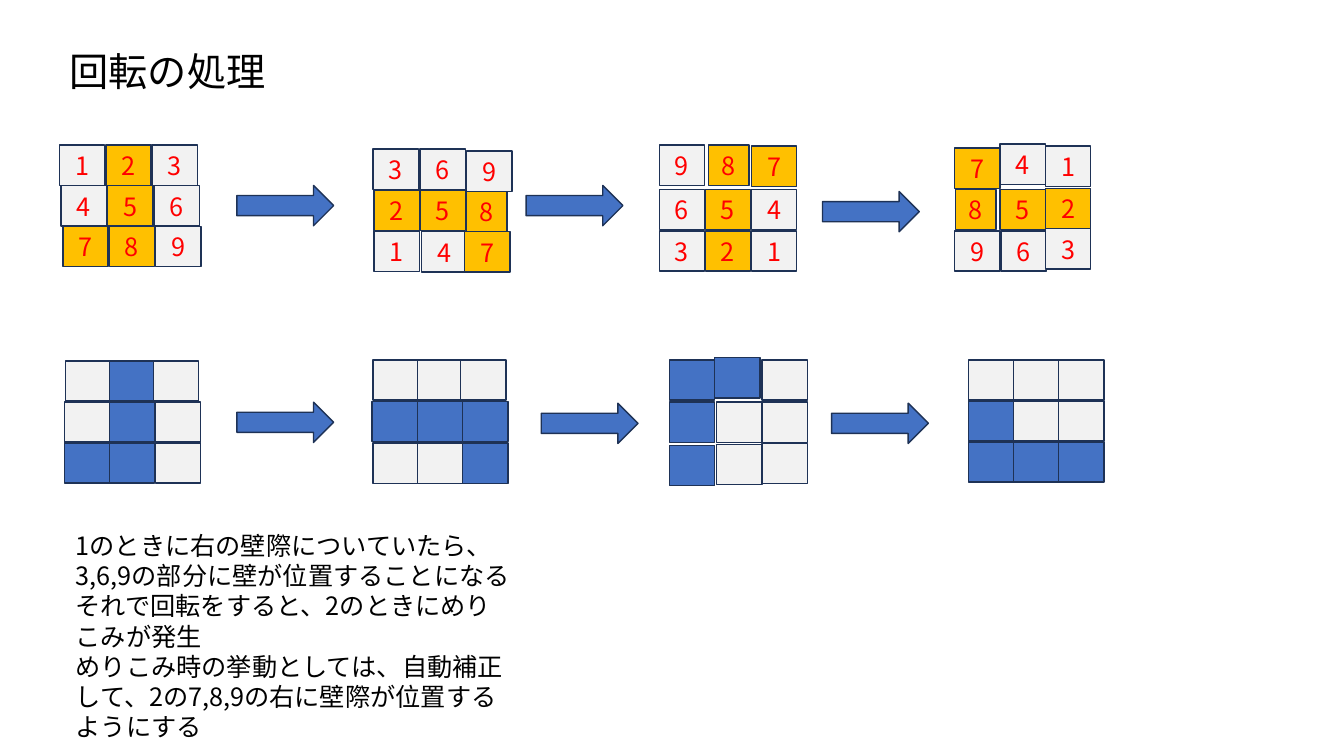
from lxml import etree
from pptx import Presentation
from pptx.dml.color import RGBColor
from pptx.enum.shapes import MSO_SHAPE
from pptx.enum.text import MSO_ANCHOR, MSO_AUTO_SIZE, PP_ALIGN
from pptx.oxml.ns import qn
from pptx.util import Inches, Pt

RECTANGLE = MSO_SHAPE.RECTANGLE
RIGHT_ARROW = MSO_SHAPE.RIGHT_ARROW
MIDDLE, TOP = MSO_ANCHOR.MIDDLE, MSO_ANCHOR.TOP
LEFT, CENTER = PP_ALIGN.LEFT, PP_ALIGN.CENTER
FIXED = MSO_AUTO_SIZE.NONE

FONT = "Noto Sans CJK JP"
COLOURS = {
    "text": "000000",
    "number": "FF0000",
    "marked": "FFC000",
    "block": "4472C4",
    "empty": "F2F2F2",
    "outline": "1E3256",
}
COLUMNS, ROWS = 40, 22.5
CELL_WIDTH, CELL_HEIGHT, NARROW_WIDTH = 1.35, 1.2, 1.2

START = [(1, 2, 3), (4, 5, 6), (7, 8, 9)]
PIECE, SHIFTED_PIECE = {2, 5, 7, 8}, {3, 6, 8, 9}

NUMBERED_TURNS = [
    {"origin": (1.77, 4.32), "pitch": (1.38, 1.21), "slant": 0.05},
    {"origin": (11.13, 4.44), "pitch": (1.37, 1.22), "narrow": 8,
     "nudges": {3: (-0.03, 0), 9: (0.02, 0.06), 8: (0.02, 0.04),
                4: (0.04, 0.02), 7: (-0.04, 0.02)}},
    {"origin": (19.62, 4.41), "pitch": (1.37, 1.23), "narrow": 8,
     "nudges": {9: (0, -0.09), 8: (0.1, -0.09), 7: (0, -0.06)}},
    {"origin": (28.41, 4.41), "pitch": (1.35, 1.23), "narrow": 8,
     "nudges": {4: (0, -0.12), 1: (0, -0.06), 2: (0, -0.03),
                3: (0, -0.06), 8: (0.03, 0), 6: (0.03, 0)}},
]
BLOCK_TURNS = [
    {"origin": (1.92, 10.74), "pitch": (1.33, 1.22), "piece": PIECE,
     "nudges": {1: (0.03, 0), 3: (-0.02, 0), 6: (0.04, 0), 9: (0.04, 0)}},
    {"origin": (11.07, 10.71), "pitch": (1.35, 1.24), "piece": PIECE,
     "nudges": {3: (0.03, 0), 9: (-0.06, 0), 1: (0.03, 0)}},
    {"origin": (19.92, 10.71), "pitch": (1.38, 1.26), "piece": SHIFTED_PIECE,
     "nudges": {8: (-0.03, -0.06), 5: (0.03, 0), 2: (0.03, 0),
                1: (0, -0.03), 3: (0, 0.03)}},
    {"origin": (28.83, 10.71), "pitch": (1.34, 1.22), "piece": SHIFTED_PIECE},
]
ARROWS = [(7.05, 5.52), (15.66, 5.52), (24.48, 5.7),
          (7.05, 11.97), (16.11, 12), (24.75, 12)]
EXPLANATION = [
    "1のときに右の壁際についていたら、3,6,9の部分に壁が位置することになる",
    "それで回転をすると、2のときにめりこみが発生",
    "めりこみ時の挙動としては、自動補正して、2の7,8,9の右に壁際が位置するようにする",
]


def colour(name):
    return RGBColor.from_string(COLOURS[name])


def rotate(grid):
    return list(zip(*grid))[::-1]


class RotationSlide:
    def __init__(self, deck):
        self.column = deck.slide_width / COLUMNS
        self.row = deck.slide_height / ROWS
        self.slide = deck.slides.add_slide(deck.slide_layouts[1])

    def place(self, left, top, width, height):
        return (round(left * self.column), round(top * self.row),
                round(width * self.column), round(height * self.row))

    def style(self, paragraph, size, ink, align):
        paragraph.alignment = align
        paragraph.font.size = Pt(size)
        paragraph.font.name = FONT
        paragraph.font.color.rgb = colour(ink)
        latin = paragraph.font._element.find(qn("a:latin"))
        east_asian = etree.Element(qn("a:ea"), typeface=FONT)
        latin.addnext(east_asian)

    def fill_placeholder(self, holder, lines, box, size, anchor):
        holder.left, holder.top, holder.width, holder.height = self.place(*box)
        frame = holder.text_frame
        frame.text = "\n".join(lines)
        frame.word_wrap = True
        frame.auto_size = FIXED
        frame.vertical_anchor = anchor
        for paragraph in frame.paragraphs:
            self.style(paragraph, size, "text", LEFT)
            paragraph.space_before = Pt(0)
            paragraph.line_spacing = Pt(size * 1.2)
            properties = paragraph._p.get_or_add_pPr()
            properties.set("marL", "0")
            properties.set("indent", "0")
            properties.find(qn("a:defRPr")).addprevious(
                etree.Element(qn("a:buNone")))

    def title(self, words):
        self.fill_placeholder(self.slide.shapes.title, [words],
                              (1.77, 1.26, 34.92, 1.71), 28, MIDDLE)

    def body(self, lines):
        self.fill_placeholder(self.slide.placeholders[1], lines,
                              (1.95, 15.63, 13.71, 6.66), 18, TOP)

    def shape(self, kind, box, fill):
        drawn = self.slide.shapes.add_shape(kind, *self.place(*box))
        drawn.shadow.inherit = False
        drawn.fill.solid()
        drawn.fill.fore_color.rgb = colour(fill)
        drawn.line.color.rgb = colour("outline")
        drawn.line.width = Pt(1)
        return drawn

    def arrow(self, left, top):
        self.shape(RIGHT_ARROW, (left, top, 2.88, 1.2), "block")

    def number(self, cell, value):
        frame = cell.text_frame
        frame.vertical_anchor = MIDDLE
        frame.text = str(value)
        self.style(frame.paragraphs[0], 18, "number", CENTER)

    def board(self, grid, origin, pitch, piece=PIECE, fill="block",
              numbered=False, slant=0, narrow=None, nudges=None):
        for r, values in enumerate(grid):
            for c, value in enumerate(values):
                dx, dy = (nudges or {}).get(value, (0, 0))
                left = origin[0] + c * pitch[0] + r * slant + dx
                top = origin[1] + r * pitch[1] + dy
                width = NARROW_WIDTH if value == narrow else CELL_WIDTH
                cell = self.shape(RECTANGLE, (left, top, width, CELL_HEIGHT),
                                  fill if value in piece else "empty")
                if numbered:
                    self.number(cell, value)


def main():
    deck = Presentation()
    deck.slide_width, deck.slide_height = Inches(13.33), Inches(7.5)
    page = RotationSlide(deck)
    page.title("回転の処理")
    grid = START
    for numbered_turn, block_turn in zip(NUMBERED_TURNS, BLOCK_TURNS):
        page.board(grid, fill="marked", numbered=True, **numbered_turn)
        page.board(grid, **block_turn)
        grid = rotate(grid)
    for left, top in ARROWS:
        page.arrow(left, top)
    page.body(EXPLANATION)
    deck.save("out.pptx")


if __name__ == "__main__":
    main()
